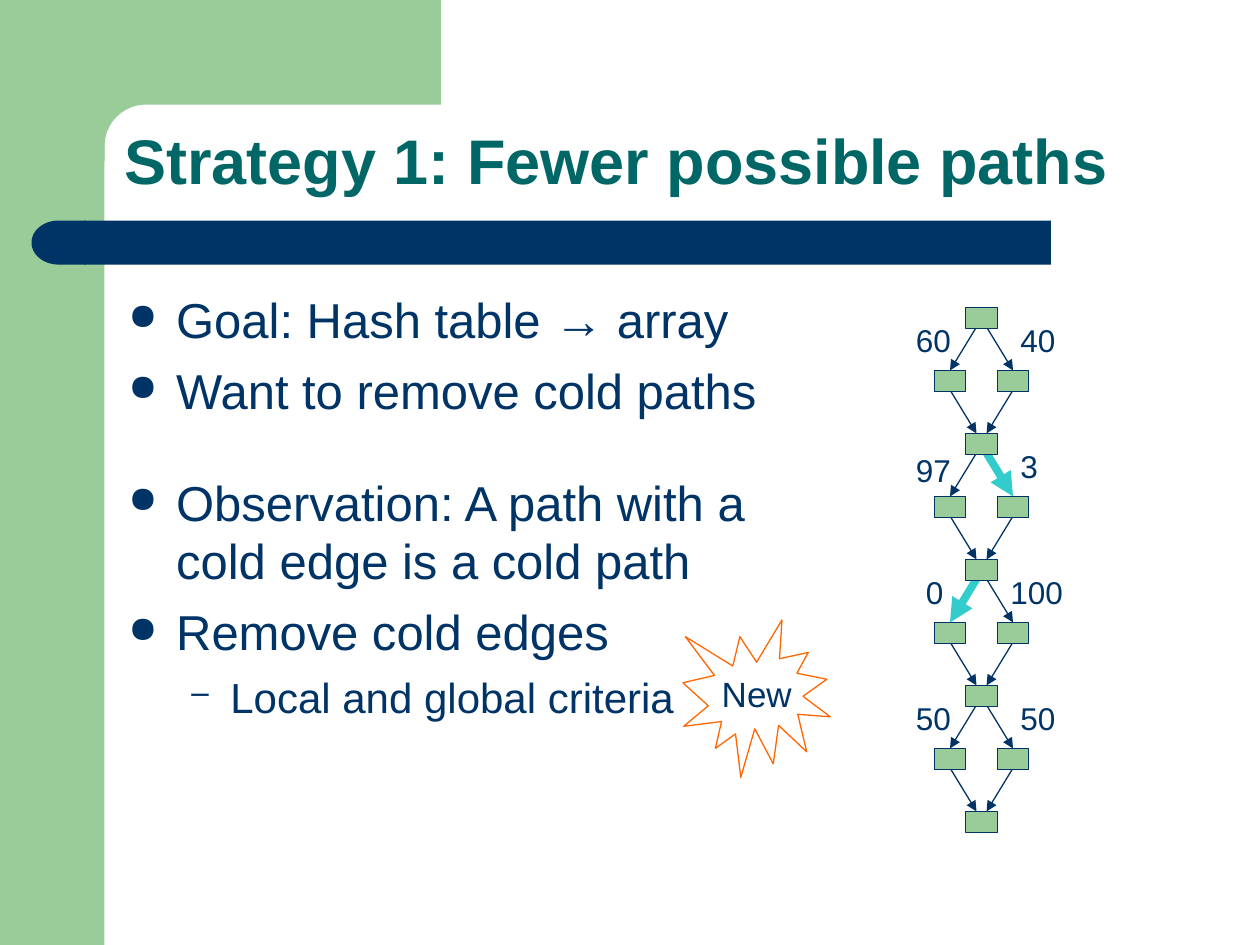
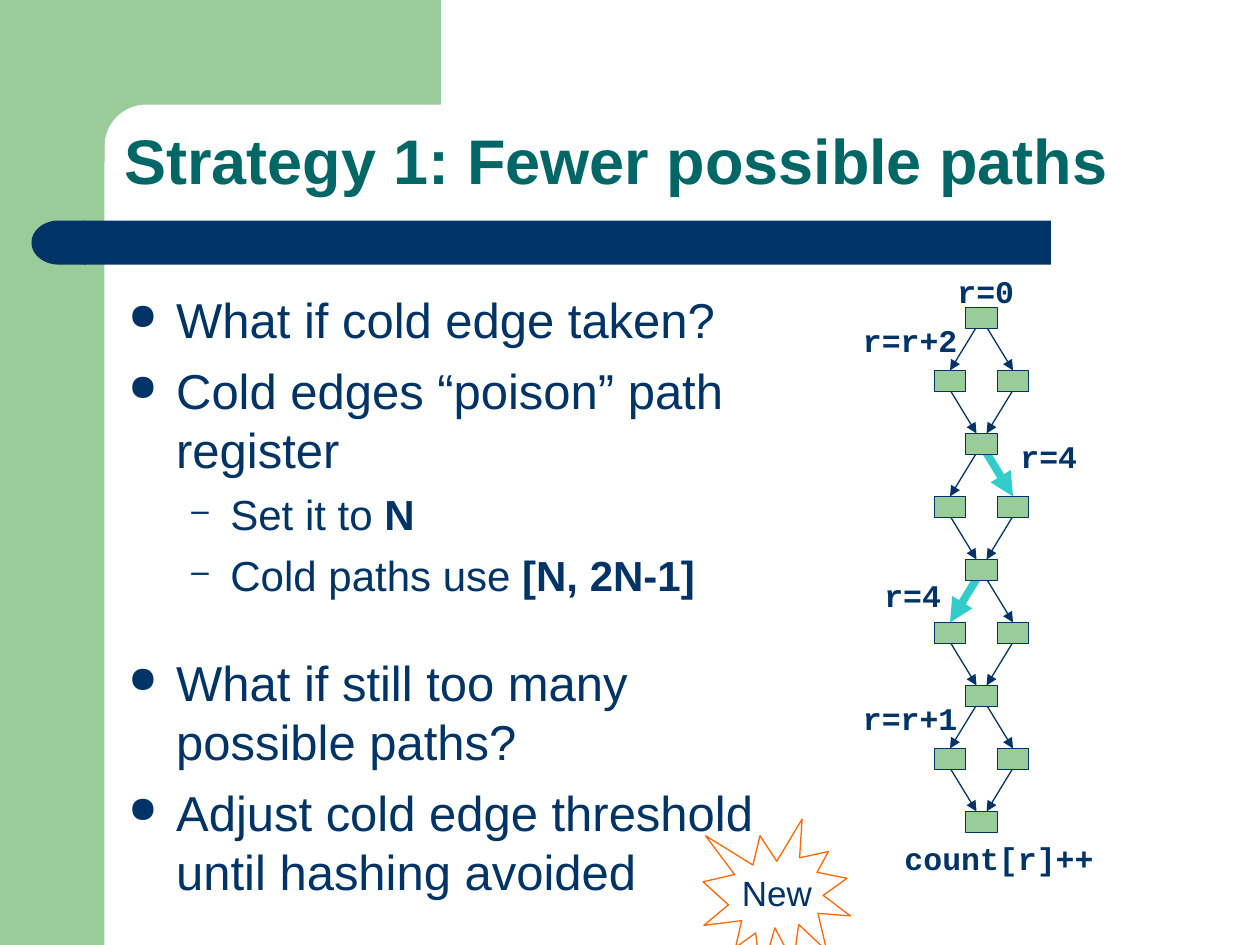
from dataclasses import dataclass
from math import cos, pi, sin

from lxml.etree import SubElement
from pptx import Presentation
from pptx.dml.color import RGBColor
from pptx.enum.shapes import MSO_CONNECTOR, MSO_SHAPE
from pptx.enum.text import MSO_ANCHOR
from pptx.oxml.ns import qn
from pptx.util import Inches, Pt


@dataclass(frozen=True)
class Theme:
    green: str = "99CC99"
    navy: str = "003366"
    teal: str = "006666"
    cold: str = "33CCCC"
    flame: str = "FF6600"
    font: str = "Arial"
    code: str = "Courier New"
    title: int = 36
    levels: tuple = (28, 24)
    label: int = 18
    burst: int = 20
    thin: float = 0.75
    thick: float = 4.5


THEME = Theme()
TITLE = "Strategy 1: Fewer possible paths"

# Bullet sign, left margin, hanging indent and space before, by level
BULLETS = (("●", 0.38, 0.38, 7), ("–", 0.81, 0.31, 6))
BREAK = 30  # space before a bullet that opens a new group

# Flow graph: a chain of diamonds, one per step
MID, TOP, STEP, COUNT = 7.79, 2.44, 1.0, 4
NODE_W, NODE_H = 0.25, 0.17
COLD = {(1, 1), (2, -1)}  # (diamond, side) of each cold edge


def rgb(code):
    return RGBColor.from_string(code)


def paint(shape, fill=None, line=None):
    shape.shadow.inherit = False
    if fill:
        shape.fill.solid()
        shape.fill.fore_color.rgb = rgb(fill)
    else:
        shape.fill.background()
    if line:
        shape.line.color.rgb = rgb(line)
        shape.line.width = Pt(THEME.thin)
    else:
        shape.line.fill.background()


def add_form(shapes, kind, x, y, w, h, fill=None, line=None):
    form = shapes.add_shape(kind, Inches(x), Inches(y), Inches(w), Inches(h))
    paint(form, fill, line)
    return form


def add_box(shapes, x, y, w, h, wrap=True):
    frame = shapes.add_textbox(Inches(x), Inches(y), Inches(w), Inches(h)).text_frame
    frame.word_wrap = wrap
    return frame


def add_run(para, text, size, color=THEME.navy, bold=False, font=THEME.font):
    run = para.add_run()
    run.text = text
    run.font.name = font
    run.font.size = Pt(size)
    run.font.bold = bold
    run.font.color.rgb = rgb(color)


def add_frame(slide):
    """Green corner, navy band and title shared by all slides."""
    corner = slide.shapes.add_group_shape().shapes
    add_form(corner, MSO_SHAPE.RECTANGLE, 0, 0, 0.83, 7.5, THEME.green)
    hub, radius, parts = 1.16, 0.33, 16
    angles = [pi / 2 * i / parts for i in range(parts + 1)]
    arc = [(hub - radius * sin(a), hub - radius * cos(a)) for a in angles]
    points = [(3.5, 0), (3.5, 0.83), *arc, (0.83, 1.28), (0.5, 1.28), (0.5, 0)]
    points = [(Inches(x), Inches(y)) for x, y in points]
    pen = corner.build_freeform(*points[0])
    pen.add_line_segments(points[1:], close=True)
    paint(pen.convert_to_shape(), THEME.green)

    band = slide.shapes.add_group_shape().shapes
    add_form(band, MSO_SHAPE.RECTANGLE, 0.67, 1.75, 7.67, 0.35, THEME.navy)
    cap = add_form(band, MSO_SHAPE.FLOWCHART_DELAY, 0.25, 1.75, 0.43, 0.35, THEME.navy)
    cap.rotation = 180

    frame = add_box(slide.shapes, 0.89, 0.89, 8.56, 0.73)
    frame.vertical_anchor = MSO_ANCHOR.BOTTOM
    para = frame.paragraphs[0]
    para.line_spacing = 0.9
    add_run(para, TITLE, THEME.title, THEME.teal, bold=True)


def set_bullet(para, sign, left, hang):
    props = para._p.get_or_add_pPr()
    props.set("marL", str(Inches(left)))
    props.set("indent", str(-Inches(hang)))
    color = SubElement(props, qn("a:buClr"))
    SubElement(color, qn("a:srgbClr"), val=THEME.navy)
    SubElement(props, qn("a:buSzPct"), val="75000")
    SubElement(props, qn("a:buChar"), char=sign)


def add_body(slide, height, items):
    """Items are (level, opens a group, plain text, bold text)."""
    frame = add_box(slide.shapes, 0.92, 2.25, 5.42, height)
    for i, (level, opens, plain, strong) in enumerate(items):
        para = frame.add_paragraph() if i else frame.paragraphs[0]
        sign, left, hang, gap = BULLETS[level]
        para.level = level
        set_bullet(para, sign, left, hang)
        if i:
            para.space_before = Pt(BREAK if opens else gap)
        add_run(para, plain, THEME.levels[level])
        if strong:
            add_run(para, strong, THEME.levels[level], bold=True)


def add_node(slide, x, y):
    return add_form(slide.shapes, MSO_SHAPE.RECTANGLE, x - NODE_W / 2, y,
                    NODE_W, NODE_H, THEME.green, THEME.navy)


def add_edge(slide, x1, y1, x2, y2, cold=False):
    edge = slide.shapes.add_connector(
        MSO_CONNECTOR.STRAIGHT, Inches(x1), Inches(y1), Inches(x2), Inches(y2))
    edge.line.color.rgb = rgb(THEME.cold if cold else THEME.navy)
    edge.line.width = Pt(THEME.thick if cold else THEME.thin)
    SubElement(edge.line._get_or_add_ln(), qn("a:tailEnd"), type="triangle")
    SubElement(edge._element.spPr, qn("a:effectLst"))
    return edge


def add_graph(slide):
    for i in range(COUNT):
        y = TOP + i * STEP
        low = y + STEP / 2
        for side in (-1, 1):
            x = MID + side * NODE_W
            add_edge(slide, MID + side * 0.29, low + 0.09, MID + side * 0.04, y + STEP)
            node = add_node(slide, x, low)
            edge = add_edge(slide, MID, y + 0.09, x, low, (i, side) in COLD)
            edge.end_connect(node, 0)
        add_node(slide, MID, y)
    add_node(slide, MID, TOP + COUNT * STEP)


def add_count(slide, text, x, y):
    frame = add_box(slide.shapes, x, y, 0.2 + 0.14 * len(text), 0.4, wrap=False)
    add_run(frame.paragraphs[0], text, THEME.label)


def add_code(slide, text, x, y, w):
    frame = add_box(slide.shapes, x, y, w, 0.4)
    add_run(frame.paragraphs[0], text, THEME.label, bold=True, font=THEME.code)


def add_burst(slide, x, y):
    group = slide.shapes.add_group_shape().shapes
    add_form(group, MSO_SHAPE.EXPLOSION1, x, y, 1.17, 1.25, line=THEME.flame)
    frame = add_box(group, x + 0.21, y + 0.37, 0.8, 0.44)
    add_run(frame.paragraphs[0], "New", THEME.burst)


def add_slide(deck):
    slide = deck.slides.add_slide(deck.slide_layouts[6])
    add_frame(slide)
    return slide


def draw_goal(deck):
    slide = add_slide(deck)
    add_body(slide, 4.67, [
        (0, False, "Goal: Hash table → array", ""),
        (0, False, "Want to remove cold paths", ""),
        (0, True, "Observation: A path with a cold edge is a cold path", ""),
        (0, False, "Remove cold edges", ""),
        (1, False, "Local and global criteria", ""),
    ])
    for text, x, y in [
        ("60", 7.17, 2.5), ("40", 8, 2.5),
        ("97", 7.17, 3.53), ("3", 8, 3.5),
        ("0", 7.25, 4.5), ("100", 7.92, 4.5),
        ("50", 7.17, 5.5), ("50", 8, 5.5),
    ]:
        add_count(slide, text, x, y)
    add_graph(slide)
    add_burst(slide, 5.42, 4.92)


def draw_poison(deck):
    slide = add_slide(deck)
    add_body(slide, 5, [
        (0, False, "What if cold edge taken?", ""),
        (0, False, "Cold edges “poison” path register", ""),
        (1, False, "Set it to ", "N"),
        (1, False, "Cold paths use ", "[N, 2N-1]"),
        (0, True, "What if still too many possible paths?", ""),
        (0, False, "Adjust cold edge threshold until hashing avoided", ""),
    ])
    add_graph(slide)
    for text, x, y, w in [
        ("r=0", 7.5, 2.11, 0.68),
        ("r=r+2", 6.75, 2.5, 1),
        ("r=4", 8, 3.42, 1.47),
        ("r=4", 6.92, 4.52, 1.47),
        ("r=r+1", 6.75, 5.5, 1),
        ("count[r]++", 7.08, 6.61, 1.75),
    ]:
        add_code(slide, text, x, y, w)
    add_burst(slide, 5.58, 6.5)


def main():
    deck = Presentation()
    deck.slide_width, deck.slide_height = Inches(10), Inches(7.5)
    draw_goal(deck)
    draw_poison(deck)
    deck.save("out.pptx")


if __name__ == "__main__":
    main()
